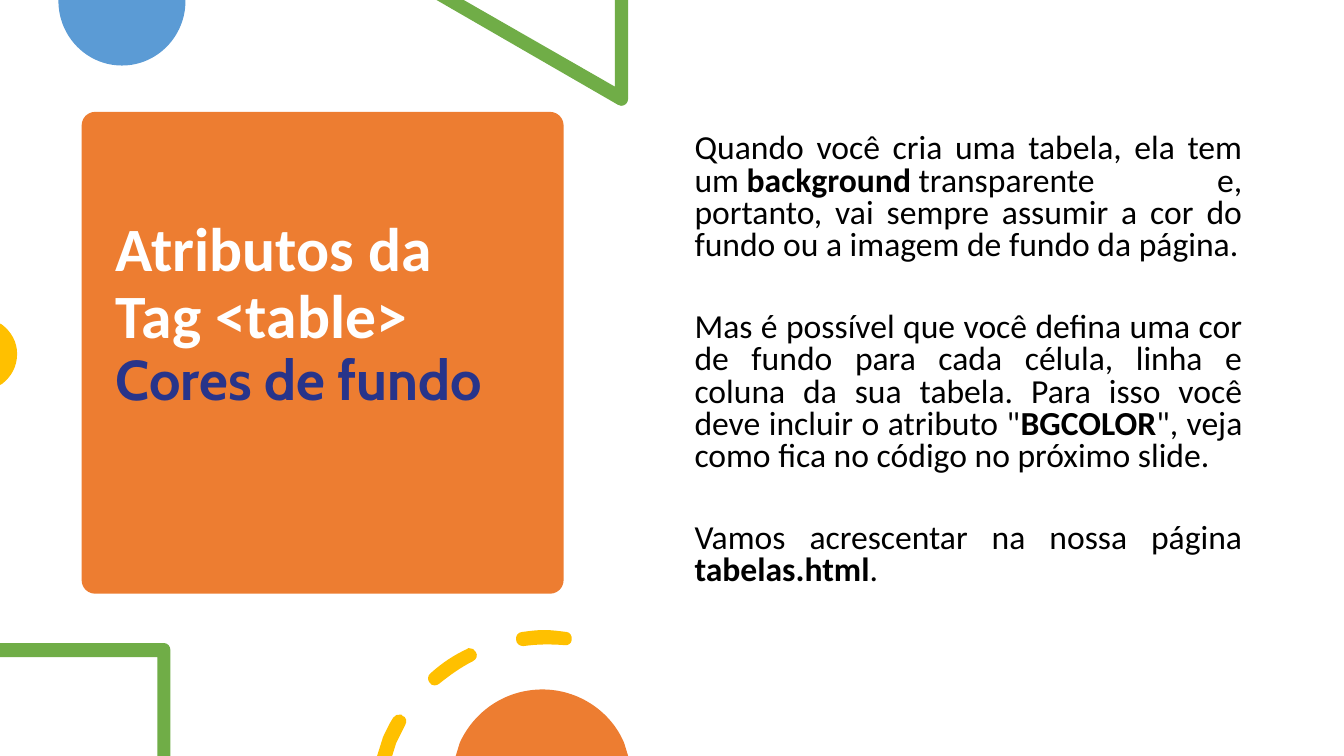
"""Build the slide on background colours of HTML tables."""
from lxml import etree
from pptx import Presentation, util as u
from pptx.dml.color import RGBColor
from pptx.enum import shapes, text
from pptx.oxml.ns import qn

BLUE, GREEN, YELLOW, ORANGE = "5B9BD5", "70AD47", "FFC000", "ED7D31"
W, H = 13.33, 7.5
NBSP = chr(160)


def paint(fill, color):
    """Give a shape or font fill one solid colour."""
    fill.solid()
    fill.fore_color.rgb = RGBColor.from_string(color)


def outline(contours, color):
    """Draw contours of lines (x, y) and cubic curves (x1, y1, x2, y2, x, y)."""
    fb = s.shapes.build_freeform(*map(u.Inches, contours[0][0]), scale=1.0)
    for i, (start, *segments) in enumerate(contours):
        if i:
            fb.move_to(*map(u.Inches, start))
        fb.add_line_segments([tuple(map(u.Inches, seg[-2:])) for seg in segments], close=True)
    sp = fb.convert_to_shape()
    segments = [seg for contour in contours for seg in contour[1:]]
    for line, seg in zip(list(sp.element.iter(qn("a:lnTo"))), segments):
        if len(seg) == 6:
            line.tag = qn("a:cubicBezTo")
            for k in (0, 2):
                pt = etree.Element(qn("a:pt"), x=str(u.Inches(seg[k]) - sp.left),
                                   y=str(u.Inches(seg[k + 1]) - sp.top))
                line.insert(k // 2, pt)
    sp.shadow.inherit = False
    paint(sp.fill, color)
    sp.line.fill.background()


prs = Presentation()
prs.slide_width, prs.slide_height = u.Inches(W), u.Inches(H)
s = prs.slides.add_slide(prs.slide_layouts[5])

card = s.shapes.add_shape(shapes.MSO_SHAPE.ROUNDED_RECTANGLE,
                          *map(u.Inches, (0.81, 1.11, 4.78, 4.78)))
card.adjustments[0] = 0.028
card.shadow.inherit = False
paint(card.fill, ORANGE)
card.line.fill.background()

title = s.shapes.title
title.left, title.top, title.width, title.height = map(u.Inches, (1.05, 1.22, 4.31, 4.56))
title.element.addprevious(card.element)
tf = title.text_frame
tf.word_wrap = True
tf.auto_size = text.MSO_AUTO_SIZE.NONE
tf.vertical_anchor = text.MSO_ANCHOR.MIDDLE
tf.margin_bottom = u.Inches(0.79)
p = tf.paragraphs[0]
p.alignment = text.PP_ALIGN.LEFT
p.line_spacing = 0.9
p.font.bold = True
for i, (words, size, face, color) in enumerate([
        ("Atributos da Tag <table>", 44, "Calibri", "FFFFFF"),
        ("Cores de fundo", 40, "Cabin", "28348A")]):
    if i:
        p.add_line_break()
    r = p.add_run()
    r.text = words
    r.font.size, r.font.name = u.Pt(size), face
    paint(r.font.fill, color)

outline([[(1.84, 0), (0.58, 0), (0.58, 0.01), (0.58, 0.36, 0.86, 0.65, 1.21, 0.65),
          (1.56, 0.65, 1.84, 0.36, 1.84, 0.01)]], BLUE)
outline([[(6.23, 0), (6.1, 0), (6.1, 0.86), (4.6, 0), (4.33, 0), (6.13, 1.04),
          (6.14, 1.05, 6.15, 1.05, 6.16, 1.05), (6.2, 1.05, 6.23, 1.02, 6.23, 0.98)]], GREEN)
outline([[(0, 3.21), (0, 3.82), (0.02, 3.81), (0.11, 3.74, 0.17, 3.64, 0.17, 3.51),
          (0.17, 3.39, 0.11, 3.29, 0.02, 3.22)]], YELLOW)

body = s.shapes.add_textbox(*map(u.Inches, (6.67, 0.9, 5.75, 5.35)))
tf = body.text_frame
tf.word_wrap = True
tf.margin_top = u.Inches(0.43)
paragraphs = [
    ["Quando você cria uma tabela, ela tem um" + NBSP, "background" + NBSP,
     "transparente e, portanto, vai sempre assumir a cor do fundo ou a imagem de fundo da página."],
    ["Mas é possível que você defina uma cor de fundo para cada célula, linha e coluna da sua "
     "tabela. Para isso você deve incluir o atributo \"", "BGCOLOR",
     "\", veja como fica no código no próximo slide."],
    ["Vamos acrescentar na nossa página ", "tabelas.html", "."],
]
for i, runs in enumerate(paragraphs):
    p = tf.add_paragraph() if i else tf.paragraphs[0]
    p.alignment = text.PP_ALIGN.JUSTIFY
    p.line_spacing = 0.8
    p.space_after = u.Pt(35.4 if i < len(paragraphs) - 1 else 6)
    p.font.size, p.font.name = u.Pt(24), "Calibri"
    paint(p.font.fill, "000000")
    p._p.get_or_add_pPr().set("marL", str(u.Inches(0.12)))
    for j, words in enumerate(runs):
        r = p.add_run()
        r.text = words
        r.font.bold = j == 1

outline([[(1.63, 6.38), (0, 6.38), (0, 6.52), (1.56, 6.52), (1.56, H), (1.69, H), (1.69, 6.45),
          (1.69, 6.41, 1.66, 6.38, 1.63, 6.38)]], GREEN)
outline([
    [(3.97, 7.09), (3.94, 7.08, 3.92, 7.1, 3.9, 7.12), (3.86, 7.18, 3.83, 7.25, 3.8, 7.31),
     (3.74, H), (3.89, H), (3.93, 7.37), (3.96, 7.31, 3.99, 7.25, 4.02, 7.19),
     (4.04, 7.16, 4.03, 7.11, 3.99, 7.1), (3.99, 7.09, 3.98, 7.09, 3.97, 7.09)],
    [(4.65, 6.43), (4.65, 6.43, 4.64, 6.43, 4.63, 6.44), (4.5, 6.5, 4.38, 6.58, 4.27, 6.68),
     (4.24, 6.7, 4.24, 6.75, 4.26, 6.77), (4.27, 6.79, 4.29, 6.8, 4.31, 6.8),
     (4.33, 6.8, 4.35, 6.79, 4.36, 6.78), (4.46, 6.7, 4.57, 6.62, 4.69, 6.56),
     (4.73, 6.54, 4.74, 6.5, 4.72, 6.47), (4.71, 6.44, 4.68, 6.43, 4.65, 6.43)],
    [(5.4, 6.25), (5.32, 6.25, 5.25, 6.26, 5.18, 6.27), (5.14, 6.27, 5.11, 6.31, 5.12, 6.35),
     (5.12, 6.38, 5.15, 6.41, 5.19, 6.41), (5.33, 6.39, 5.46, 6.39, 5.6, 6.4),
     (5.63, 6.41, 5.67, 6.38, 5.67, 6.35), (5.68, 6.31, 5.65, 6.27, 5.62, 6.27),
     (5.54, 6.26, 5.47, 6.25, 5.4, 6.25)],
], YELLOW)
outline([[(5.38, 6.84), (5.01, 6.84, 4.7, 7.06, 4.56, 7.37), (4.52, H), (6.23, H), (6.19, 7.37),
          (6.06, 7.06, 5.74, 6.84, 5.38, 6.84)]], ORANGE)

prs.save("out.pptx")
